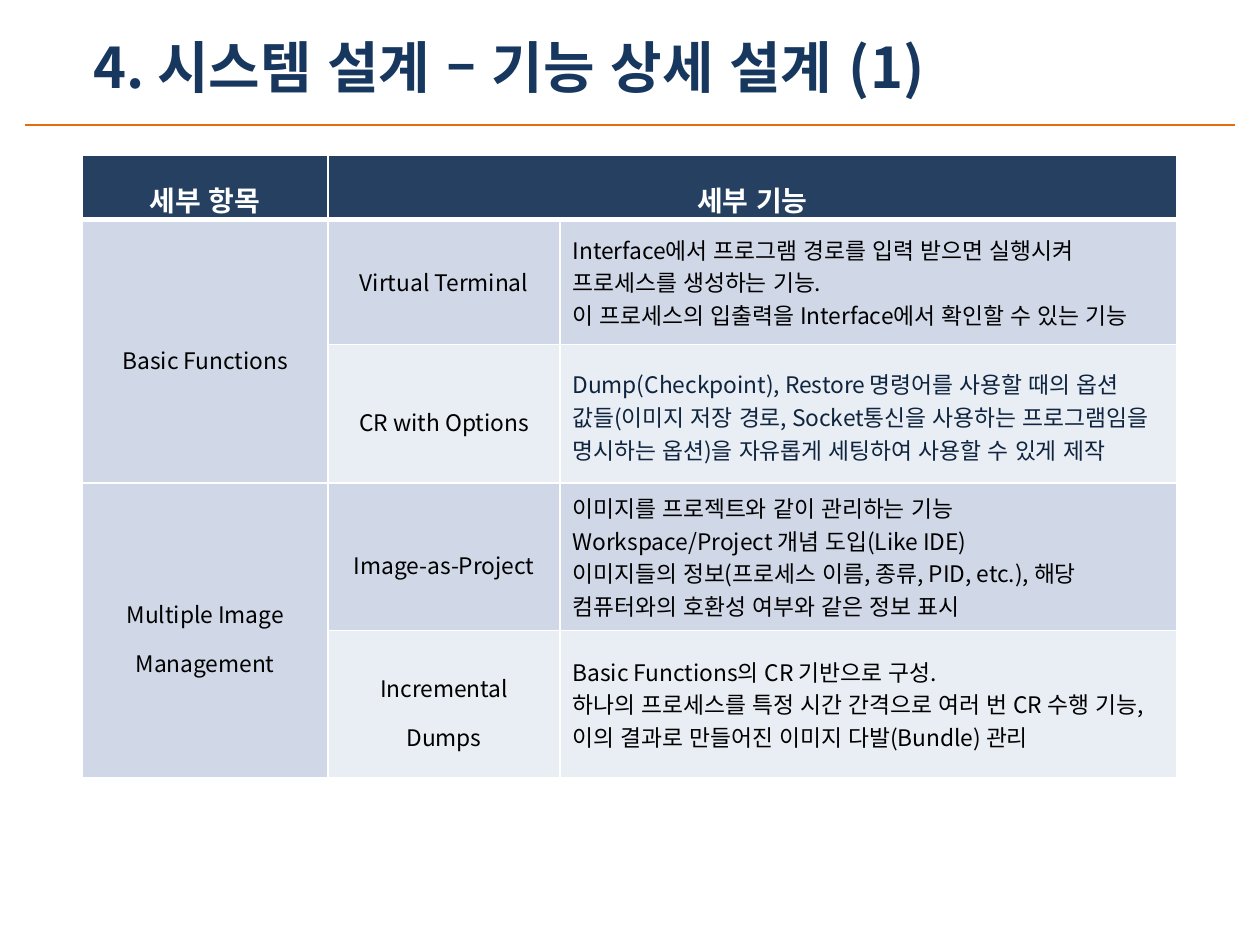
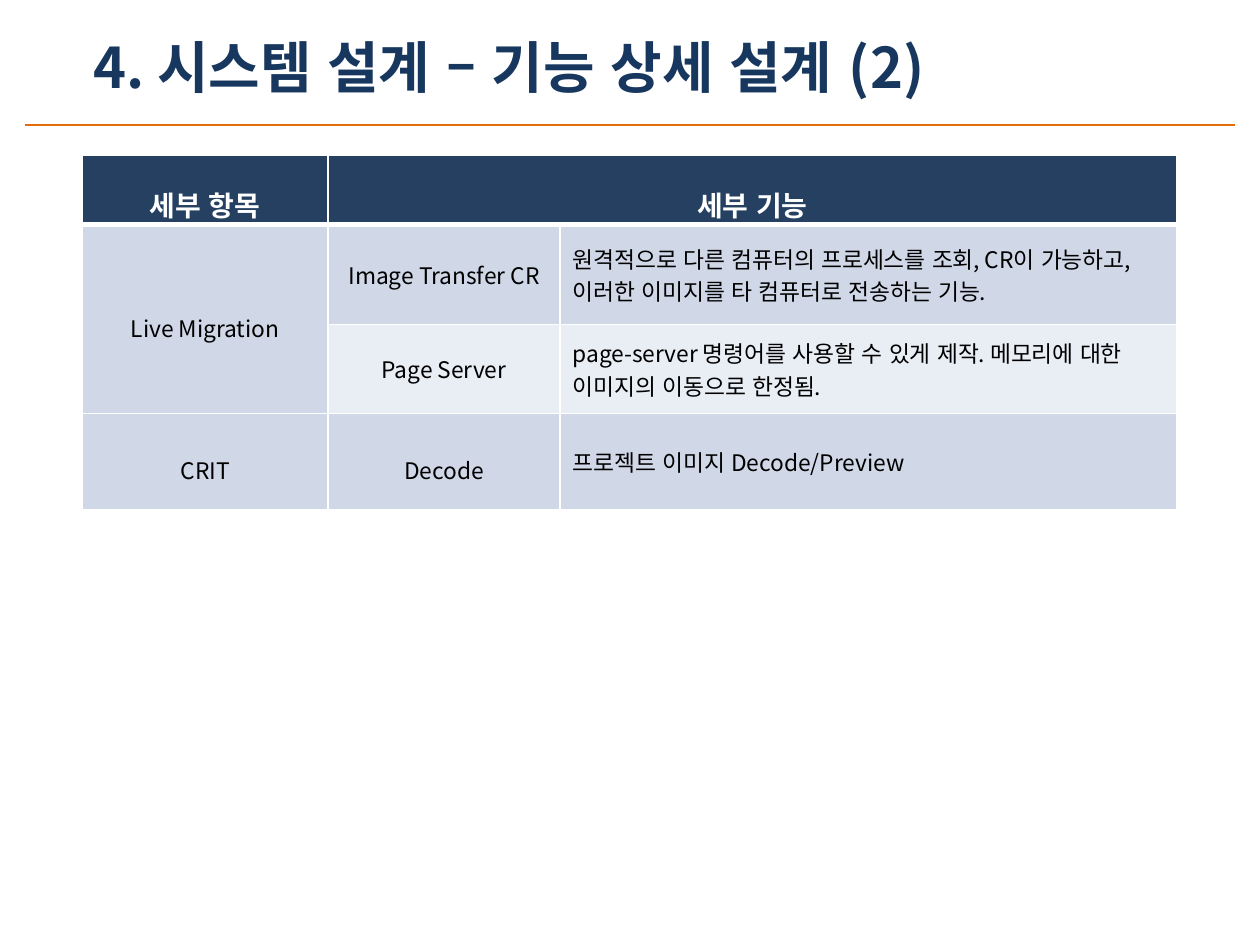
from lxml.etree import SubElement
from pptx import Presentation
from pptx.dml.color import RGBColor
from pptx.enum.lang import MSO_LANGUAGE_ID
from pptx.enum.shapes import MSO_CONNECTOR
from pptx.enum.text import MSO_ANCHOR, MSO_AUTO_SIZE, PP_ALIGN
from pptx.oxml.ns import qn
from pptx.util import Pt

FONT = "Noto Sans CJK KR"
TITLE_BLUE = RGBColor(0x17, 0x37, 0x5E)
HEADER_BLUE = RGBColor(0x25, 0x40, 0x61)
ORANGE = RGBColor(0xE4, 0x6C, 0x0A)
DARK_BAND = RGBColor(0xD0, 0xD8, 0xE8)
LIGHT_BAND = RGBColor(0xE9, 0xED, 0xF4)
OPTION_NAVY = RGBColor(0x0F, 0x24, 0x3E)
BLACK = RGBColor(0, 0, 0)
WHITE = RGBColor(0xFF, 0xFF, 0xFF)

TITLE_BOX = (46, 15, 507.6, 46)
RULE_BOX = (14.4, 71.5, 691.2, 0)
TABLE_LEFT, TABLE_TOP = 47, 88.8
COLUMN_WIDTHS = (140.4, 132.6, 352.6)
HEADINGS = ("세부 항목", "세부 기능")
BORDER, HEADER_BORDER = 1, 3

BASIC_AND_IMAGE_HEIGHTS = (36.8, 71.2, 79.2, 84.2, 84.2)
BASIC_AND_IMAGE_GROUPS = [
    ("Basic Functions", [
        ("Virtual Terminal", 1, BLACK, [
            "Interface에서 프로그램 경로를 입력 받으면 실행시켜 프로세스를 생성하는 기능.",
            "이 프로세스의 입출력을 Interface에서 확인할 수 있는 기능"]),
        ("CR with Options", 1.5, OPTION_NAVY, [
            "Dump(Checkpoint), Restore 명령어를 사용할 때의 옵션 값들(이미지 저장 경로, "
            "Socket통신을 사용하는 프로그램임을 명시하는 옵션)을 자유롭게 세팅하여 "
            "사용할 수 있게 제작"]),
    ]),
    ("Multiple Image Management", [
        ("Image-as-Project", 1.5, BLACK, [
            "이미지를 프로젝트와 같이 관리하는 기능",
            "Workspace/Project 개념 도입(Like IDE)",
            "이미지들의 정보(프로세스 이름, 종류, PID, etc.), 해당 컴퓨터와의 "
            "호환성 여부와 같은 정보 표시"]),
        ("Incremental Dumps", 1.5, BLACK, [
            "Basic Functions의 CR 기반으로 구성.",
            "하나의 프로세스를 특정 시간 간격으로 여러 번 CR 수행 기능, "
            "이의 결과로 만들어진 이미지 다발(Bundle) 관리"]),
    ]),
]

MIGRATION_HEIGHTS = (39.6, 56.9, 51.1, 54.7)
MIGRATION_GROUPS = [
    ("Live Migration", [
        ("Image Transfer CR", 1, BLACK, [
            "원격적으로 다른 컴퓨터의 프로세스를 조회, CR이 가능하고, "
            "이러한 이미지를 타 컴퓨터로 전송하는 기능."]),
        ("Page Server", 1, BLACK, [
            "page-server 명령어를 사용할 수 있게 제작. "
            "메모리에 대한 이미지의 이동으로 한정됨."]),
    ]),
    ("CRIT", [
        ("Decode", 1.5, BLACK, ["프로젝트 이미지 Decode/Preview"]),
    ]),
]


def add_run(paragraph, text, size, color, bold=False):
    run = paragraph.add_run()
    run.text = text
    font = run.font
    font.name = FONT
    font.size = Pt(size)
    font.bold = bold
    font.color.rgb = color
    font.language_id = MSO_LANGUAGE_ID.KOREAN
    properties = run._r.get_or_add_rPr()
    SubElement(properties, qn("a:ea")).set("typeface", FONT)


def add_title(slide, text, box):
    title = slide.shapes.title
    title.left, title.top, title.width, title.height = map(Pt, box)
    frame = title.text_frame
    frame.auto_size = MSO_AUTO_SIZE.NONE
    frame.word_wrap = False
    frame.vertical_anchor = MSO_ANCHOR.MIDDLE
    paragraph = frame.paragraphs[0]
    paragraph.alignment = PP_ALIGN.LEFT
    add_run(paragraph, text, 32, TITLE_BLUE, True)


def add_rule(slide, box):
    left, top, width, height = box
    rule = slide.shapes.add_connector(
        MSO_CONNECTOR.STRAIGHT, Pt(left), Pt(top), Pt(left + width), Pt(top + height))
    rule.line.color.rgb = ORANGE
    rule.line.width = Pt(1.5)
    SubElement(rule._element.spPr, qn("a:effectLst"))


def set_cell_style(cell, fill, top_border, bottom_border):
    properties = cell._tc.get_or_add_tcPr()
    widths = {"a:lnL": BORDER, "a:lnR": BORDER, "a:lnT": top_border, "a:lnB": bottom_border}
    for side, width in widths.items():
        line = SubElement(properties, qn(side), w=str(Pt(width)))
        SubElement(SubElement(line, qn("a:solidFill")), qn("a:srgbClr"), val=str(WHITE))
    cell.fill.solid()
    cell.fill.fore_color.rgb = fill


def write_cell(cell, lines, size=13, color=BLACK, bold=False,
               alignment=PP_ALIGN.CENTER, spacing=1.5):
    cell.vertical_anchor = MSO_ANCHOR.MIDDLE
    frame = cell.text_frame
    for index, line in enumerate(lines):
        paragraph = frame.add_paragraph() if index else frame.paragraphs[0]
        paragraph.alignment = alignment
        paragraph.line_spacing = spacing
        add_run(paragraph, line, size, color, bold)


def write_header(table):
    table.cell(0, 1).merge(table.cell(0, 2))
    for column, heading in enumerate(HEADINGS):
        cell = table.cell(0, column)
        write_cell(cell, [heading], 16, WHITE, True)
        cell.vertical_anchor = MSO_ANCHOR.BOTTOM
        cell.margin_top = cell.margin_bottom = 0


def write_group(table, first_row, category, functions):
    if len(functions) > 1:
        table.cell(first_row, 0).merge(table.cell(first_row + len(functions) - 1, 0))
    write_cell(table.cell(first_row, 0), [category])
    for row, (name, spacing, color, details) in enumerate(functions, first_row):
        write_cell(table.cell(row, 1), [name], spacing=spacing)
        detail_cell = table.cell(row, 2)
        write_cell(detail_cell, details, color=color, alignment=PP_ALIGN.LEFT, spacing=1)
        if color == OPTION_NAVY:
            detail_cell.margin_bottom = 0


def add_function_table(slide, left, top, heights, groups):
    table = slide.shapes.add_table(
        len(heights), len(COLUMN_WIDTHS), Pt(left), Pt(top),
        Pt(sum(COLUMN_WIDTHS)), Pt(sum(heights))).table
    for column, width in zip(table.columns, COLUMN_WIDTHS):
        column.width = Pt(width)
    for index, height in enumerate(heights):
        table.rows[index].height = Pt(height)
        band = DARK_BAND if index % 2 else LIGHT_BAND
        for column in range(len(COLUMN_WIDTHS)):
            fill = HEADER_BLUE if index == 0 else DARK_BAND if column == 0 else band
            set_cell_style(table.cell(index, column), fill,
                           HEADER_BORDER if index == 1 else BORDER,
                           HEADER_BORDER if index == 0 else BORDER)
    write_header(table)
    first_row = 1
    for category, functions in groups:
        write_group(table, first_row, category, functions)
        first_row += len(functions)


def add_design_slide(presentation, number, heights, groups):
    slide = presentation.slides.add_slide(presentation.slide_layouts[5])
    add_title(slide, f"4. 시스템 설계 – 기능 상세 설계 ({number})", TITLE_BOX)
    add_rule(slide, RULE_BOX)
    add_function_table(slide, TABLE_LEFT, TABLE_TOP, heights, groups)


def main():
    presentation = Presentation()
    presentation.slide_width, presentation.slide_height = Pt(720), Pt(540)
    add_design_slide(presentation, 1, BASIC_AND_IMAGE_HEIGHTS, BASIC_AND_IMAGE_GROUPS)
    add_design_slide(presentation, 2, MIGRATION_HEIGHTS, MIGRATION_GROUPS)
    presentation.save("out.pptx")


if __name__ == "__main__":
    main()
